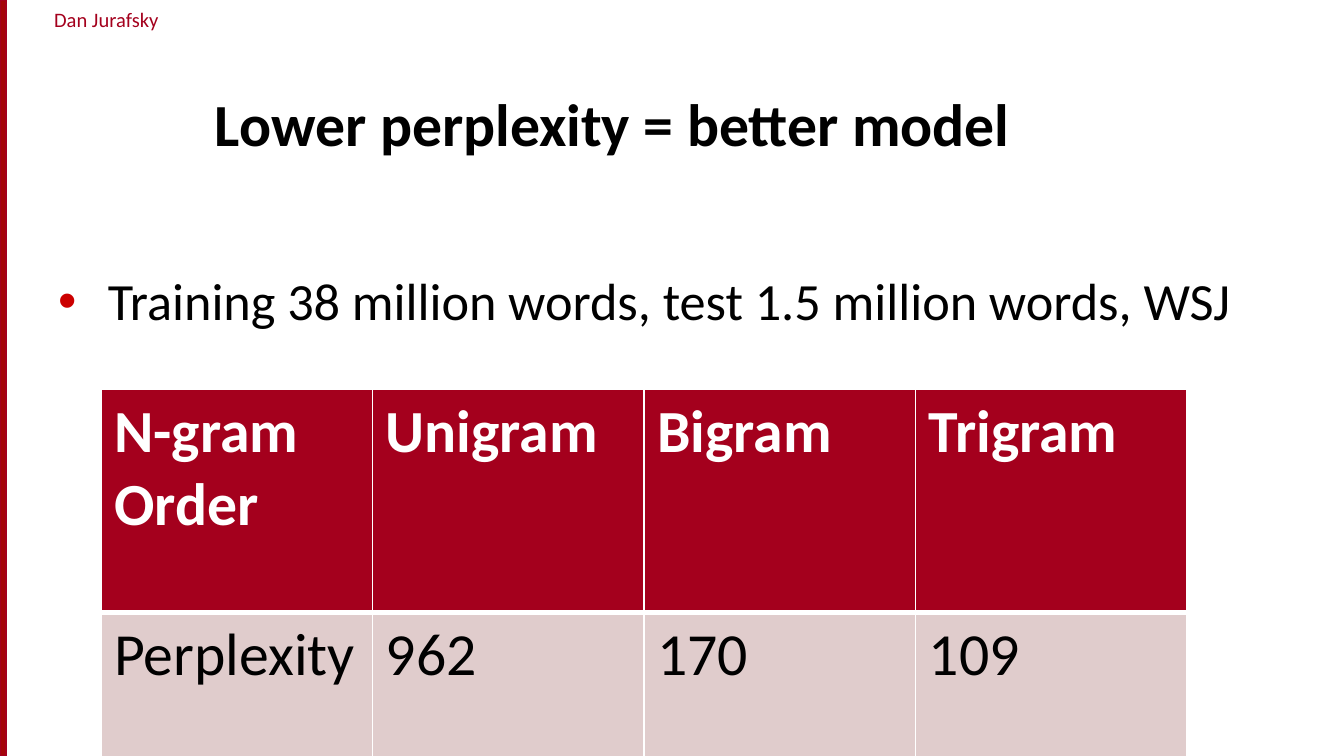
from lxml.etree import SubElement
from pptx import Presentation
from pptx.dml.color import RGBColor
from pptx.enum.shapes import MSO_SHAPE
from pptx.enum.text import MSO_ANCHOR, PP_ALIGN
from pptx.oxml.ns import qn
from pptx.util import Inches, Pt

COLUMNS = 120
CRIMSON, WHITE, BLACK, ROSE = "A4001D", "FFFFFF", "000000", "E0CCCC"


def color(code):
    return RGBColor.from_string(code)


class SlideBuilder:
    font_name = "Calibri"

    def __init__(self, deck):
        self.unit = deck.slide_width / COLUMNS
        self.page = deck.slides.add_slide(deck.slide_layouts[6])

    def cells(self, *counts):
        return [round(count * self.unit) for count in counts]

    def style(self, para, size, ink, bold=False):
        para.font.name = self.font_name
        para.font.size = Pt(size)
        para.font.bold = bold
        para.font.color.rgb = color(ink)

    def bar(self, area, fill, line):
        shape = self.page.shapes.add_shape(MSO_SHAPE.RECTANGLE, *self.cells(*area))
        shape.shadow.inherit = False
        shape.fill.solid()
        shape.fill.fore_color.rgb = color(fill)
        shape.line.color.rgb = color(line)
        shape.line.width = Pt(0.75)

    def text(self, area, words, size, ink=BLACK, bold=False,
             align=PP_ALIGN.LEFT, anchor=MSO_ANCHOR.TOP, side=0.1, top=0.05, bullet=None):
        box = self.page.shapes.add_textbox(*self.cells(*area))
        frame = box.text_frame
        frame.word_wrap = True
        frame.vertical_anchor = anchor
        frame.margin_left = frame.margin_right = Inches(side)
        frame.margin_top = Inches(top)
        para = frame.paragraphs[0]
        para.text = words
        para.alignment = align
        if bullet:
            self.bullet(para, bullet)
        self.style(para, size, ink, bold)

    def bullet(self, para, ink):
        properties = para._p.get_or_add_pPr()
        properties.set("marL", str(Inches(0.37)))
        properties.set("indent", str(Inches(-0.37)))
        tint = SubElement(properties, qn("a:buClr"))
        SubElement(tint, qn("a:srgbClr"), val=ink)
        SubElement(properties, qn("a:buFont"), typeface="Arial")
        SubElement(properties, qn("a:buChar"), char="•")

    def borders(self, cell, top, bottom):
        properties = cell._tc.get_or_add_tcPr()
        for side, width in zip("LRTB", (0.96, 0.96, top, bottom)):
            line = SubElement(properties, qn(f"a:ln{side}"), w=str(Pt(width)))
            fill = SubElement(line, qn("a:solidFill"))
            SubElement(fill, qn("a:srgbClr"), val=WHITE)

    def table(self, area, heights, rows, size):
        holder = self.page.shapes.add_table(len(rows), len(rows[0]), *self.cells(*area))
        grid = holder.table
        frame_height = holder.height
        for row, height in zip(grid.rows, self.cells(*heights)):
            row.height = height
        holder.height = frame_height
        for row_index, values in enumerate(rows):
            header = row_index == 0
            for column_index, value in enumerate(values):
                cell = grid.cell(row_index, column_index)
                self.borders(cell, *((0.96, 3) if header else (3, 0.96)))
                cell.fill.solid()
                cell.fill.fore_color.rgb = color(CRIMSON if header else ROSE)
                cell.text = value
                self.style(cell.text_frame.paragraphs[0], size,
                           WHITE if header else BLACK, header)


def main():
    deck = Presentation()
    deck.slide_width = Inches(10)
    deck.slide_height = deck.slide_width * 9 // 16
    slide = SlideBuilder(deck)
    slide.text((1, 0, 17, 3.4), "Dan Jurafsky", 11, CRIMSON,
               align=PP_ALIGN.CENTER, side=0)
    slide.bar((0, 0, 0.54, 67.5), "A40508", CRIMSON)
    slide.text((18, 5, 98, 9.75), "Lower perplexity = better model", 32,
               bold=True, anchor=MSO_ANCHOR.BOTTOM)
    slide.text((4, 17.75, 112, 43.8),
               "Training 38 million words, test 1.5 million words, WSJ", 28,
               top=0.52, bullet="CC0000")
    slide.table((9, 34.75, 97, 26), (19.92, 13.68), [
        ("N-gram Order", "Unigram", "Bigram", "Trigram"),
        ("Perplexity", "962", "170", "109"),
    ], 32)
    deck.save("out.pptx")


if __name__ == "__main__":
    main()
